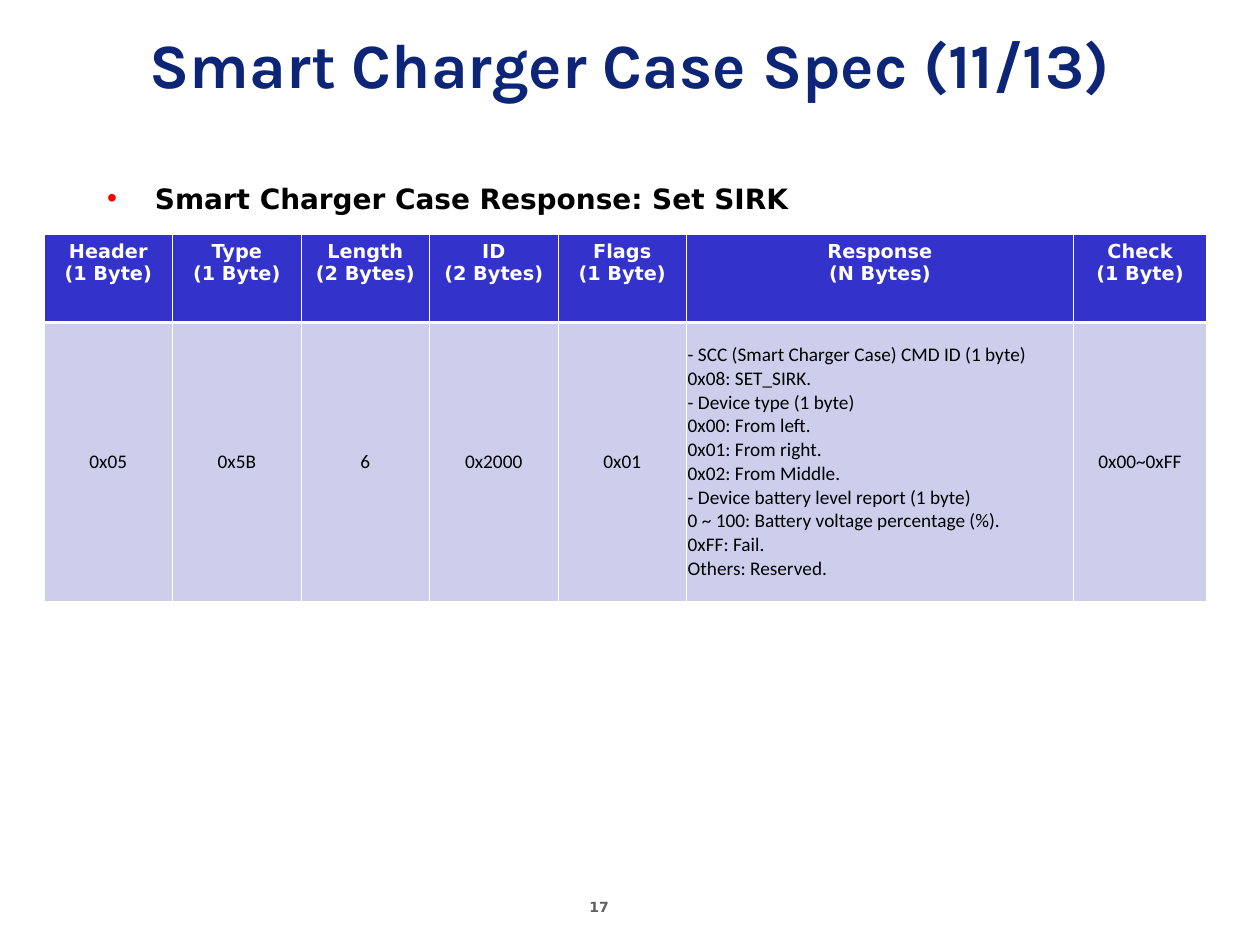
from lxml import etree
from pptx import Presentation
from pptx.dml.color import RGBColor
from pptx.enum import text as t
from pptx.oxml import ns
from pptx.util import Inches, Pt

HUES = {"title": "0C2577", "head": "3333CC", "cell": "CDCDEC", "line": "FFFFFF",
        "white": "FFFFFF", "text": "000000", "dot": "FF0000", "page": "5F5F5F"}
HEADS = ["Header\n(1 Byte)", "Type\n(1 Byte)", "Length\n(2 Bytes)", "ID\n(2 Bytes)",
         "Flags\n(1 Byte)", "Response\n(N Bytes)", "Check\n(1 Byte)"]
REPLY = """- SCC (Smart Charger Case) CMD ID (1 byte)
0x08: SET_SIRK.
- Device type (1 byte)
0x00: From left.
0x01: From right.
0x02: From Middle.
- Device battery level report (1 byte)
0 ~ 100: Battery voltage percentage (%).
0xFF: Fail.
Others: Reserved."""
VALUES = ["0x05", "0x5B", "6", "0x2000", "0x01", REPLY, "0x00~0xFF"]


def write(frame, words, size, face, hue, bold=True, align=t.PP_ALIGN.CENTER):
    frame.text = words
    for para in frame.paragraphs:
        para.alignment = align
        for run in para.runs:
            run.font.size = Pt(size)
            run.font.name = face
            run.font.bold = bold
            run.font.color.rgb = RGBColor.from_string(HUES[hue])


def edge(cell, side, width):
    line = etree.SubElement(cell._tc.get_or_add_tcPr(), ns.qn("a:" + side), w=str(Pt(width)))
    fill = etree.SubElement(line, ns.qn("a:solidFill"))
    etree.SubElement(fill, ns.qn("a:srgbClr"), val=HUES["line"])


deck = Presentation()
deck.slide_width, deck.slide_height = Inches(10), Inches(7.5)
slide = deck.slides.add_slide(deck.slide_layouts[1])

# Title
title = slide.shapes.title
title.left, title.top, title.width, title.height = 0, 0, Inches(10), Inches(1)
title.text_frame.vertical_anchor = t.MSO_ANCHOR.MIDDLE
write(title.text_frame, "Smart Charger Case Spec (11/13)", 36, "Karla", "title")

# Bullet
body = slide.placeholders[1]
body.left, body.top = Inches(0.75), Inches(1.39)
body.width, body.height = Inches(9.25), Inches(5.17)
write(body.text_frame, "Smart Charger Case Response: Set SIRK", 16, "DejaVu Sans", "text",
      align=t.PP_ALIGN.LEFT)
para = body.text_frame.paragraphs[0]
para.space_before = Pt(0)
props = para._p.get_or_add_pPr()
props.set("marL", str(Inches(0.38)))
props.set("indent", str(-Inches(0.38)))
tint = etree.SubElement(props, ns.qn("a:buClr"))
etree.SubElement(tint, ns.qn("a:srgbClr"), val=HUES["dot"])
etree.SubElement(props, ns.qn("a:buChar"), char="•")

# Message table
table = slide.shapes.add_table(2, len(HEADS), Inches(0.35), Inches(1.86),
                               Inches(9.25), Inches(2.91)).table
for col, wide in zip(table.columns, [1.02] * 5 + [3.07, 1.06]):
    col.width = Inches(wide)
for row, tall in zip(table.rows, [0.7, 2.21]):
    row.height = Inches(tall)

for num, (head, value) in enumerate(zip(HEADS, VALUES)):
    top, low = table.cell(0, num), table.cell(1, num)
    write(top.text_frame, head, 11, "DejaVu Sans", "white")
    align = t.PP_ALIGN.LEFT if value == REPLY else t.PP_ALIGN.CENTER
    write(low.text_frame, value, 11, "Calibri", "text", False, align)
    low.vertical_anchor = t.MSO_ANCHOR.MIDDLE
    low.margin_left = low.margin_right = Inches(0.01)
    for cell, hue, thick in [(top, "head", "lnB"), (low, "cell", "lnT")]:
        for side in ["lnL", "lnR", "lnT", "lnB"]:
            edge(cell, side, 1.47 if side == thick else 0.45)
        cell.fill.solid()
        cell.fill.fore_color.rgb = RGBColor.from_string(HUES[hue])

# Page number
page = slide.shapes.add_textbox(Inches(4.58), Inches(7.08), Inches(0.77), Inches(0.26))
page.text_frame.word_wrap = False
write(page.text_frame, "17", 8, "DejaVu Sans", "page", align=t.PP_ALIGN.LEFT)

deck.save("out.pptx")
